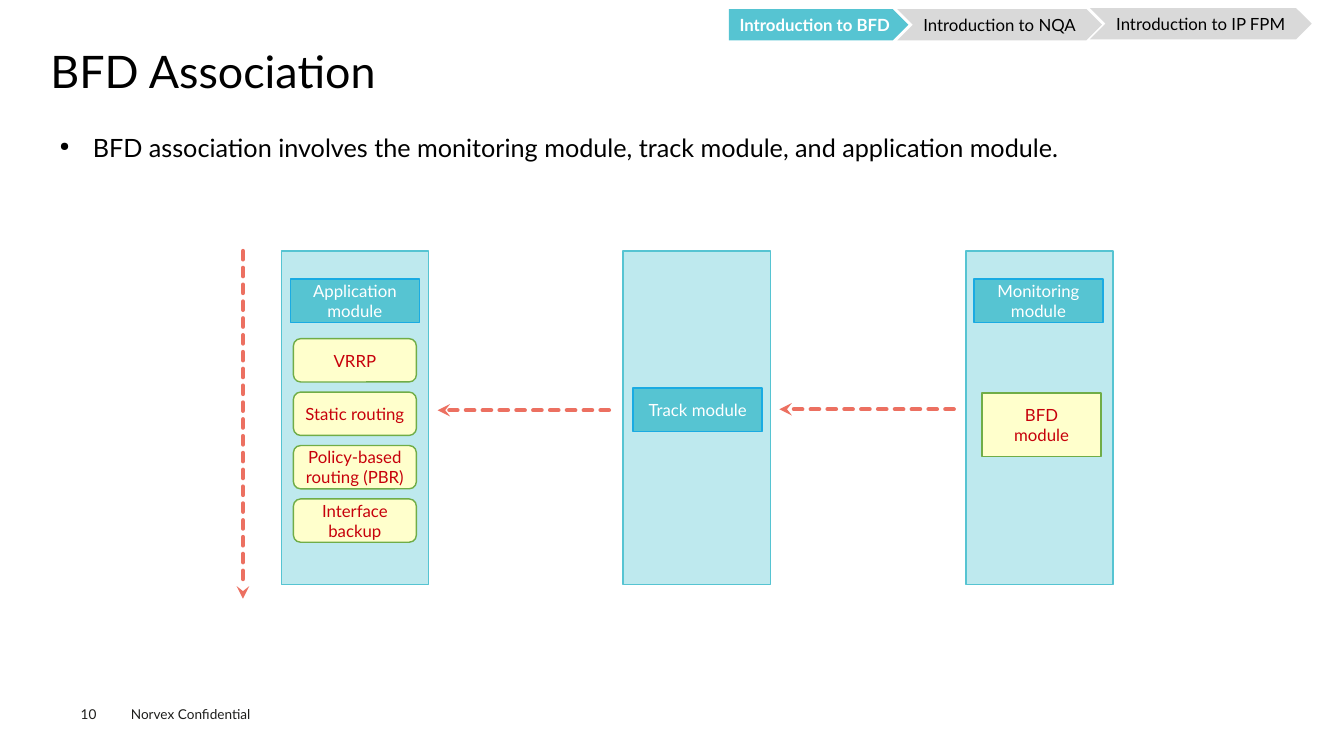
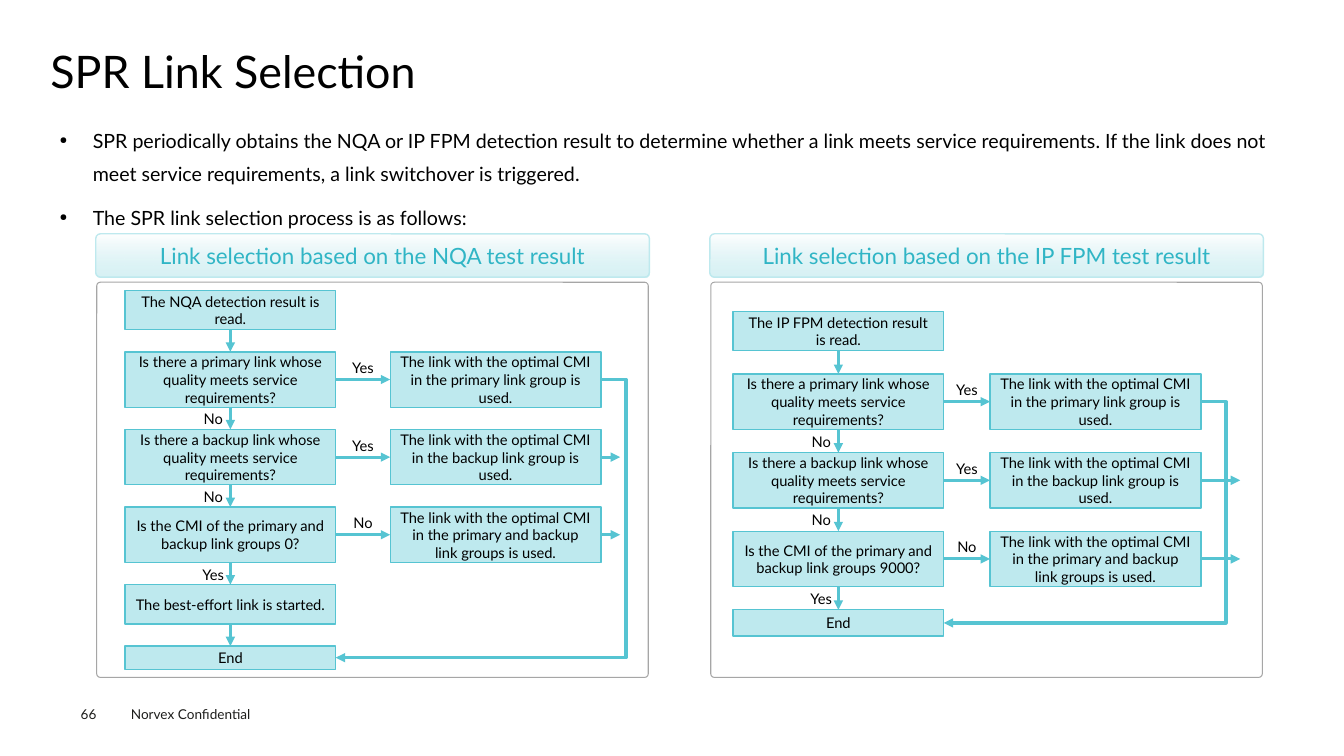
from dataclasses import dataclass
from typing import NamedTuple, Optional

from lxml.etree import SubElement
from pptx import Presentation
from pptx.dml.color import RGBColor
from pptx.enum.dml import MSO_LINE
from pptx.enum.shapes import MSO_CONNECTOR, MSO_SHAPE
from pptx.enum.text import MSO_ANCHOR, PP_ALIGN
from pptx.oxml.ns import qn
from pptx.util import Inches, Pt

FONT = "Lato"
BLACK = RGBColor(0x00, 0x00, 0x00)
WHITE = RGBColor(0xFF, 0xFF, 0xFF)
FOOTER_INK = RGBColor(0x1D, 0x1D, 0x1B)
TEAL = RGBColor(0x56, 0xC4, 0xD2)
PALE_TEAL = RGBColor(0xBE, 0xE9, 0xEE)
HEADING_TEAL = RGBColor(0x30, 0xB5, 0xC5)
BLUE = RGBColor(0x1A, 0xAB, 0xE2)
CREAM = RGBColor(0xFF, 0xFF, 0xCC)
GREEN = RGBColor(0x70, 0xAD, 0x47)
RED = RGBColor(0xC7, 0x00, 0x0B)
CORAL = RGBColor(0xEC, 0x70, 0x61)
TAB_GREY = RGBColor(0xD9, 0xD9, 0xD9)
PANEL_GREY = RGBColor(0xA6, 0xA6, 0xA6)


class Style(NamedTuple):
    preset: MSO_SHAPE
    fill: Optional[RGBColor]
    line: Optional[RGBColor]
    ink: RGBColor = BLACK
    size: float = 12
    inset: tuple = (0.04, 0.04)
    weight: float = 1
    bold: bool = False


COLUMN = Style(MSO_SHAPE.RECTANGLE, PALE_TEAL, TEAL)
MODULE = Style(MSO_SHAPE.RECTANGLE, TEAL, BLUE, WHITE)
DETECTOR = Style(MSO_SHAPE.RECTANGLE, CREAM, GREEN, RED)
APPLICATION = DETECTOR._replace(preset=MSO_SHAPE.ROUNDED_RECTANGLE)
ACTIVE_TAB = Style(MSO_SHAPE.PENTAGON, TEAL, None, WHITE, inset=(0, 0), bold=True)
TAB = Style(MSO_SHAPE.CHEVRON, TAB_GREY, None, inset=(0, 0))
PANEL = Style(MSO_SHAPE.ROUNDED_RECTANGLE, None, PANEL_GREY, weight=0.75)
BAND = Style(MSO_SHAPE.ROUNDED_RECTANGLE, None, PALE_TEAL, HEADING_TEAL, 16, (0, 0))
STEP = Style(MSO_SHAPE.RECTANGLE, PALE_TEAL, TEAL, size=10.5, inset=(0.1, 0.05))


class Box(NamedTuple):
    style: Style
    left: float
    top: float
    width: float
    height: float
    text: str = ""


class Step(NamedTuple):
    text: str
    height: float
    down: str = ""
    right: str = ""
    outcome: str = ""


@dataclass
class Flow:
    heading: str
    panel_left: float
    left: float
    outcome_left: float
    top: float
    gap: float
    stub_end: float
    steps: list


def write(tf, text: str, *, size: float, color: RGBColor = BLACK, bold: bool = False,
          align=PP_ALIGN.LEFT, anchor=MSO_ANCHOR.TOP, inset=(0, 0),
          spacing: Optional[float] = None, wrap: bool = True) -> None:
    """Fill a text frame, one paragraph per line of text."""
    tf.word_wrap = wrap
    tf.vertical_anchor = anchor
    tf.margin_left = tf.margin_right = Inches(inset[0])
    tf.margin_top = tf.margin_bottom = Inches(inset[1])
    for i, line in enumerate(text.split("\n")):
        p = tf.add_paragraph() if i else tf.paragraphs[0]
        p.alignment = align
        p.line_spacing = spacing
        r = p.add_run()
        r.text = line
        r.font.name, r.font.size, r.font.bold = FONT, Pt(size), bold
        r.font.color.rgb = color


def add_text(s, left: float, top: float, width: float, height: float, text: str, **fmt):
    tf = s.shapes.add_textbox(*map(Inches, (left, top, width, height))).text_frame
    write(tf, text, **fmt)
    return tf


def add_box(s, box: Box):
    style = box.style
    sp = s.shapes.add_shape(style.preset, *map(Inches, box[1:5]))
    sp.shadow.inherit = False
    if style.fill is None:
        sp.fill.background()
    else:
        sp.fill.solid()
        sp.fill.fore_color.rgb = style.fill
    if style.line is None:
        sp.line.fill.background()
    else:
        sp.line.color.rgb = style.line
        sp.line.width = Pt(style.weight)
    if box.text:
        write(sp.text_frame, box.text, size=style.size, color=style.ink, bold=style.bold,
              align=PP_ALIGN.CENTER, anchor=MSO_ANCHOR.MIDDLE, inset=style.inset)
    return sp


def add_arrow(s, start=(0, 0), end=(0, 0), *, kind=MSO_CONNECTOR.STRAIGHT,
              color: RGBColor = TEAL, width: float = 2.25, head: str = "triangle",
              dashed: bool = False):
    cx = s.shapes.add_connector(kind, *map(Inches, (*start, *end)))
    cx.line.color.rgb = color
    cx.line.width = Pt(width)
    ln = cx.line._get_or_add_ln()
    if dashed:
        cx.line.dash_style = MSO_LINE.SQUARE_DOT
        ln.set("cap", "rnd")
    SubElement(ln, qn("a:tailEnd"), type=head)
    SubElement(cx._element.spPr, qn("a:effectLst"))
    return cx


def join(s, source, source_side: int, target, target_side: int) -> None:
    cx = add_arrow(s)
    cx.begin_connect(source, source_side)
    cx.end_connect(target, target_side)


def add_base(prs, title: str, number: int, bullets: str, size: float):
    """Add a slide with its title, bullets and footer."""
    s = prs.slides.add_slide(prs.slide_layouts[6])
    add_text(s, 1.2, 6.95, 1.6, 0.27, "Norvex Confidential", size=9.7,
             color=FOOTER_INK, inset=(0.1, 0.05))
    add_text(s, 0.8, 7, 0.55, 0.16, str(number), size=9.7, color=FOOTER_INK)
    add_text(s, 0.5, 0.49, 12.35, 0.54, title, size=32, spacing=0.9)
    tf = add_text(s, 0.5, 1.15, 12.35, 5.33, bullets, size=size, spacing=1.4,
                  inset=(0.09, 0.04))
    for p in tf.paragraphs:
        p.space_before = Pt(7.9)
        pPr = p._p.get_or_add_pPr()
        pPr.set("marL", str(Inches(0.33)))
        pPr.set("indent", str(-Inches(0.33)))
        SubElement(pPr, qn("a:buSzPct"), val="50000")
        SubElement(pPr, qn("a:buChar"), char="●")
    return s


def add_association_slide(prs) -> None:
    s = add_base(prs, "BFD Association", 10,
                 "BFD association involves the monitoring module, track module, "
                 "and application module.", 18)
    for start, end in (((9.46, 4.06), (7.73, 4.06)), ((6.04, 4.07), (4.34, 4.07)),
                       ((2.41, 2.49), (2.41, 5.94))):
        add_arrow(s, start, end, color=CORAL, width=3, head="stealth", dashed=True)

    columns = [Box(COLUMN, left, 2.49, 1.46, 3.31) for left in (2.79, 6.18, 9.58)]
    modules = [
        Box(MODULE, 2.88, 2.77, 1.28, 0.43, "Application module"),
        Box(MODULE, 6.28, 3.85, 1.28, 0.43, "Track module"),
        Box(MODULE, 9.66, 2.77, 1.28, 0.43, "Monitoring module"),
        Box(DETECTOR, 9.74, 3.9, 1.18, 0.63, "BFD\nmodule"),
    ]
    names = ("VRRP", "Static routing", "Policy-based routing (PBR)", "Interface backup")
    applications = [Box(APPLICATION, 2.91, 3.36 + 0.53 * i, 1.22, 0.43, name)
                    for i, name in enumerate(names)]
    tabs = [
        Box(ACTIVE_TAB, 7.23, 0.09, 1.78, 0.31, "Introduction to BFD"),
        Box(TAB, 8.9, 0.09, 2.03, 0.31, "Introduction to NQA"),
        Box(TAB, 10.81, 0.08, 2.2, 0.31, "Introduction to IP FPM"),
    ]
    for box in columns + modules + applications + tabs:
        add_box(s, box)


def add_panel(s, flow: Flow) -> None:
    panel = add_box(s, Box(PANEL, flow.panel_left, 2.8, 5.47, 3.92))
    panel.adjustments[0] = 0.009
    band = add_box(s, Box(BAND, flow.panel_left - 0.01, 2.32, 5.49, 0.43, flow.heading))
    band.adjustments[0] = 0.106
    band.fill.gradient()
    band.fill.gradient_angle = 270
    for stop, color in zip(band.fill.gradient_stops, (WHITE, PALE_TEAL)):
        stop.color.rgb = color
    last_color = band._element.spPr.findall(f".//{qn('a:gs')}/{qn('a:srgbClr')}")[-1]
    SubElement(last_color, qn("a:alpha"), val="60000")


def add_label(s, center: float, top: float, text: str) -> None:
    add_text(s, center - 0.21, top, 0.42, 0.29, text, size=10.5, wrap=False,
             align=PP_ALIGN.CENTER, inset=(0.1, 0.05))


def add_flow(s, flow: Flow) -> None:
    width, return_offset = 2.09, 0.25
    outcome_right = flow.outcome_left + width
    top, previous, branch_levels = flow.top, None, []
    add_panel(s, flow)
    for step in flow.steps:
        middle = top + step.height / 2
        box = add_box(s, Box(STEP, flow.left, top, width, step.height, step.text))
        if previous:
            join(s, previous, 2, box, 0)
        if step.outcome:
            outcome = add_box(s, Box(STEP, flow.outcome_left, top, width, step.height,
                                     step.outcome))
            join(s, box, 3, outcome, 1)
            add_label(s, (flow.left + width + flow.outcome_left) / 2, top + 0.02, step.right)
            if branch_levels:
                stub = add_arrow(s, (outcome_right, middle), (flow.stub_end, middle))
                stub.begin_connect(outcome, 3)
            branch_levels.append(middle)
        if step.down:
            add_label(s, flow.left + width / 2 - 0.17, top + step.height - 0.02, step.down)
        previous = box
        top += step.height + flow.gap

    step_right = flow.left + width
    back = add_arrow(s, (outcome_right, branch_levels[0]), (step_right, middle),
                     kind=MSO_CONNECTOR.ELBOW)
    bend = -return_offset / (outcome_right - step_right)
    guides = back._element.spPr.find(qn("a:prstGeom")).get_or_add_avLst()
    SubElement(guides, qn("a:gd"), name="adj1", fmla=f"val {round(bend * 100000)}")


def decisions(limit: int) -> list:
    """Return the three questions that both flows ask."""
    used = "The link with the optimal CMI in the {} used."
    question = "Is there a {} link whose quality meets service requirements?"
    return [
        Step(question.format("primary"), 0.55, "No", "Yes",
             used.format("primary link group is")),
        Step(question.format("backup"), 0.55, "No", "Yes",
             used.format("backup link group is")),
        Step(f"Is the CMI of the primary and backup link groups {limit}?", 0.55,
             "Yes", "No", used.format("primary and backup link groups is")),
    ]


def add_selection_slide(prs) -> None:
    s = add_base(prs, "SPR Link Selection", 66,
                 "SPR periodically obtains the NQA or IP FPM detection result to determine "
                 "whether a link meets service requirements. If the link does not meet "
                 "service requirements, a link switchover is triggered.\n"
                 "The SPR link selection process is as follows:", 14)
    add_flow(s, Flow("Link selection based on the NQA test result",
                     0.96, 1.24, 3.87, 2.88, 0.22, 6.15,
                     [Step("The NQA detection result is read.", 0.39), *decisions(0),
                      Step("The best-effort link is started.", 0.39), Step("End", 0.23)]))
    add_flow(s, Flow("Link selection based on the IP FPM test result",
                     7.05, 7.27, 9.82, 3.09, 0.23, 12.3,
                     [Step("The IP FPM detection result is read.", 0.39),
                      *decisions(9000), Step("End", 0.26)]))


def main() -> None:
    prs = Presentation()
    prs.slide_width, prs.slide_height = Inches(13.33), Inches(7.5)
    add_association_slide(prs)
    add_selection_slide(prs)
    prs.save("out.pptx")


if __name__ == "__main__":
    main()
